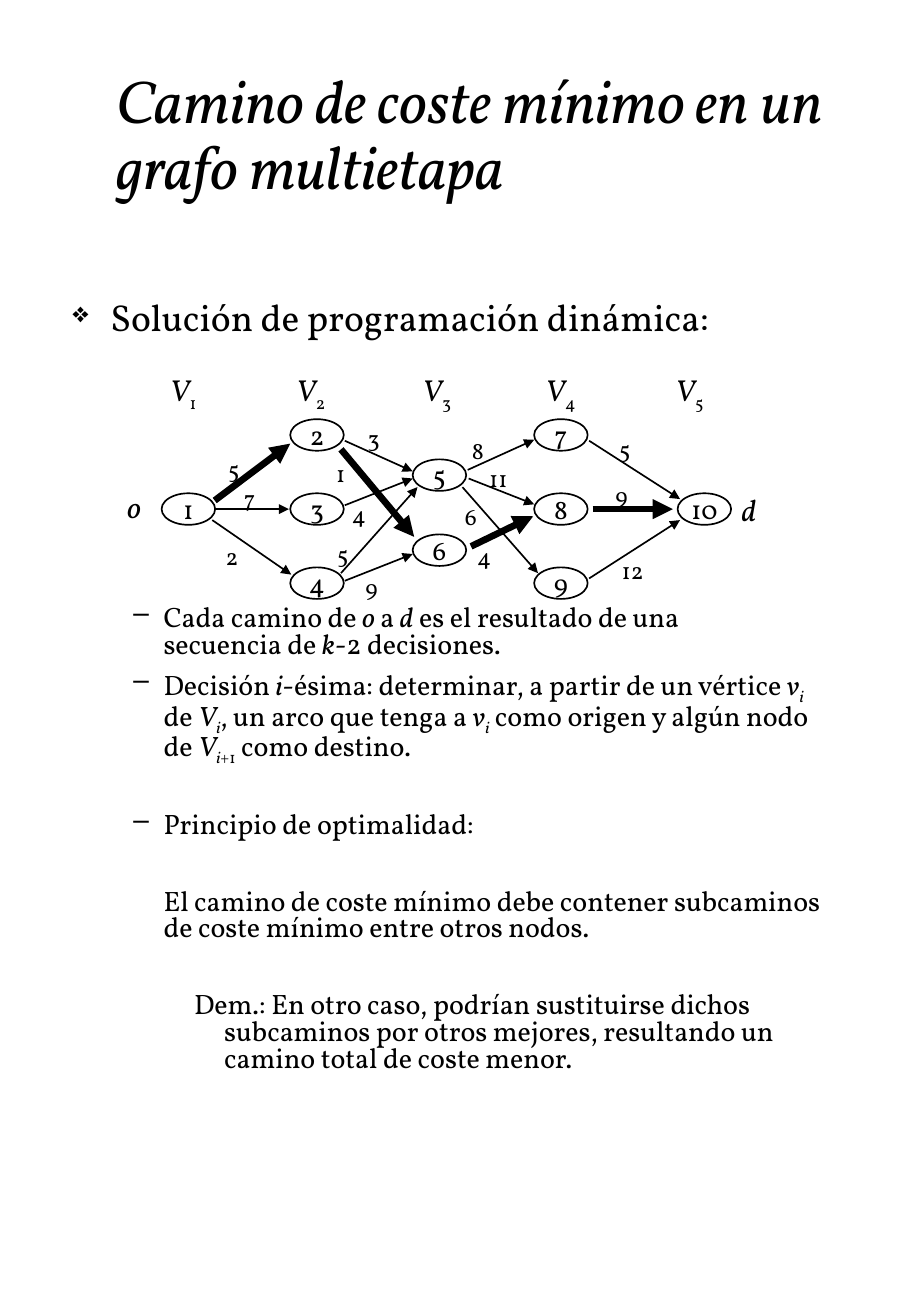
from lxml.etree import SubElement as Sub
from pptx import Presentation
from pptx.dml.color import RGBColor as Rgb
from pptx.enum.shapes import MSO_CONNECTOR as Conn, MSO_SHAPE as Kind
from pptx.enum.text import MSO_ANCHOR as Anchor, PP_ALIGN as Align
from pptx.oxml.ns import qn
from pptx.util import Cm, Pt

BLACK = Rgb(0, 0, 0)
FACE = "Vollkorn"

# Lengths in cm, relative to the graph box
NODE_W, NODE_H = 1.12, 0.66
COLS = [0.97, 3.66, 6.22, 8.76, 11.76]
ROWS = [1.12, 2.67, 4.22]
NODES = [
    ("1", COLS[0], ROWS[1]),
    *[(str(2 + n), COLS[1], y) for n, y in enumerate(ROWS)],
    ("5", COLS[2], 1.96), ("6", COLS[2], 3.53),
    *[(str(7 + n), COLS[3], y) for n, y in enumerate(ROWS)],
    ("10", COLS[4], ROWS[1]),
]
STAGES = [0.89, 3.53, 6.17, 8.74, 11.46]

# Start, end, cost, place of the cost, width in points
EDGES = [
    ((2.08, 2.82), (3.66, 1.63), "5", (2.11, 1.75), 4),
    ((2.11, 3), (3.63, 3), "7", (2.44, 2.34), 1),
    ((2.03, 3.23), (3.68, 4.37), "2", (2.06, 3.56), 1),
    ((4.8, 1.57), (6.22, 2.21), "3", (5.03, 1.09), 1),
    ((4.72, 1.75), (6.25, 3.58), "1", (4.37, 1.83), 4),
    ((4.8, 2.92), (6.22, 2.36), "4", (4.7, 2.69), 1),
    ((4.72, 4.34), (6.32, 2.54), "5", (4.39, 3.51), 1),
    ((4.8, 4.5), (6.22, 3.94), "9", (4.98, 4.22), 1),
    ((7.37, 2.18), (8.76, 1.55), "8", (7.21, 1.35), 1),
    ((7.39, 2.36), (8.76, 2.9), "11", (7.57, 1.93), 1),
    ((7.26, 2.54), (8.84, 4.34), "6", (7.06, 2.72), 1),
    ((7.44, 3.78), (8.74, 3.15), "4", (7.32, 3.56), 4),
    ((9.98, 3), (11.66, 3), "9", (10.21, 2.29), 4),
    ((9.91, 1.57), (11.81, 2.79), "5", (10.29, 1.32), 1),
    ((9.91, 4.45), (11.81, 3.23), "12", (10.34, 3.86), 1),
]

# Runs with a mark: i is italic, s is subscript
O, D, K = ("o", "i"), ("d", "i"), ("k", "i")
SUB = ("i", "is")
PATH = ["Cada camino de ", O, " a ", D,
        " es el resultado de una\nsecuencia de ", K, "-2 decisiones."]
STEP = ["Decisión ", ("i", "i"), "-ésima: determinar, a partir de un vértice ",
        ("v", "i"), SUB, " de ", ("V", "i"), SUB, ", un arco que tenga a ",
        ("v", "i"), SUB, " como origen y algún nodo de ", ("V", "i"), SUB,
        ("+1", "s"), " como destino."]
RULE = ["El camino de coste mínimo debe contener subcaminos "
        "de coste mínimo entre otros nodos."]
PROOF = ["Dem.: En otro caso, podrían sustituirse dichos subcaminos por otros "
         "mejores, resultando un camino total de coste menor."]


def write(para, runs, size, left=0, hang=0, bullet=None, scale=100,
          before=None, lines=None, align=None):
    """Fill one paragraph with runs."""
    props = para._p.get_or_add_pPr()
    if left:
        props.set("marL", str(Cm(left)))
        props.set("indent", str(Cm(hang)))
    if bullet:
        Sub(Sub(props, qn("a:buClr")), qn("a:srgbClr"), val=str(BLACK))
        Sub(props, qn("a:buSzPct"), val=str(scale * 1000))
        Sub(props, qn("a:buChar"), char=bullet)
    if before:
        para.space_before = Pt(before)
    if lines:
        para.line_spacing = lines
    para.alignment = align
    for item in runs:
        text, mark = (item, "") if isinstance(item, str) else item
        for n, part in enumerate(text.split("\n")):
            if n:
                para.add_line_break()
            run = para.add_run()
            run.text = part
            font = run.font
            font.name, font.size, font.italic = FACE, Pt(size), "i" in mark
            font.color.rgb = BLACK
            if "s" in mark:
                run._r.get_or_add_rPr().set("baseline", "-25000")


def frame(shapes, x, y, w, h, wrap=True):
    area = shapes.add_textbox(Cm(x), Cm(y), Cm(w), Cm(h)).text_frame
    area.word_wrap = wrap
    return area


def label(shapes, x, y, w, h, runs, size):
    write(frame(shapes, x, y, w, h, False).paragraphs[0], runs, size)


def arrow(shapes, x, y, start, end, width):
    line = shapes.add_connector(Conn.STRAIGHT, Cm(x + start[0]), Cm(y + start[1]),
                                Cm(x + end[0]), Cm(y + end[1]))
    line.line.color.rgb = BLACK
    line.line.width = Pt(width)
    Sub(line.line._get_or_add_ln(), qn("a:tailEnd"), type="triangle")
    Sub(line._element.spPr, qn("a:effectLst"))


def node(shapes, x, y, name):
    oval = shapes.add_shape(Kind.OVAL, Cm(x), Cm(y), Cm(NODE_W), Cm(NODE_H))
    oval.shadow.inherit = False
    oval.fill.background()
    oval.line.color.rgb = BLACK
    oval.line.width = Pt(1)
    area = oval.text_frame
    area.margin_left = area.margin_right = area.margin_top = area.margin_bottom = 0
    area.word_wrap = False
    area.vertical_anchor = Anchor.MIDDLE
    write(area.paragraphs[0], [name], 16, align=Align.CENTER)


def title(slide, x, y, w, h):
    area = frame(slide.shapes, x, y, w, h)
    area.vertical_anchor = Anchor.MIDDLE
    write(area.paragraphs[0],
          [("Camino de coste mínimo en un grafo multietapa", "i")], 36, lines=0.9)


def body(slide, x, y, w, h):
    area = frame(slide.shapes, x, y, w, h)
    write(area.paragraphs[0], ["Solución de programación dinámica:"], 22.2,
          left=0.79, hang=-0.79, bullet="❖", scale=75, lines=0.8)
    # The first space leaves room for the graph
    for runs, left, hang, bullet, before in [
        (PATH, 1.9, -0.63, "–", 158.8),
        (STEP, 1.9, -0.63, "–", 6.8),
        (["Principio de optimalidad:"], 1.9, -0.63, "–", 29.6),
        (RULE, 1.9, 0, None, 29.6),
        (PROOF, 3.17, -0.63, None, 29.6),
    ]:
        write(area.add_paragraph(), runs, 16.6, left=left, hang=hang,
              bullet=bullet, before=before, lines=0.8)


def graph(slide, x, y):
    shapes = slide.shapes.add_group_shape().shapes
    # Nodes
    for name, dx, dy in NODES:
        node(shapes, x + dx, y + dy, name)
    # Edges and costs
    for start, end, cost, (dx, dy), width in EDGES:
        arrow(shapes, x, y, start, end, width)
        label(shapes, x + dx, y + dy, 0.51 + 0.28 * len(cost), 0.84, [cost], 14)
    # Stage names
    for n, dx in enumerate(STAGES, 1):
        label(shapes, x + dx, y, 1.14, 1.12, [("V", "i"), (str(n), "s")], 18)
    # Origin and goal
    for run, dx, dy in [(O, 0, 2.44), (D, 12.85, 2.51)]:
        write(frame(shapes, x + dx, y + dy, 1.4, 1.02).paragraphs[0], [run], 18)


def main():
    deck = Presentation()
    deck.slide_width, deck.slide_height = Cm(19.05), Cm(27.53)
    slide = deck.slides.add_slide(deck.slide_layouts[6])
    body(slide, 1.27, 6.2, 16.31, 18.21)
    title(slide, 2.18, 0.86, 16.43, 4.01)
    graph(slide, 2.41, 7.65)
    deck.save("out.pptx")


if __name__ == "__main__":
    main()
